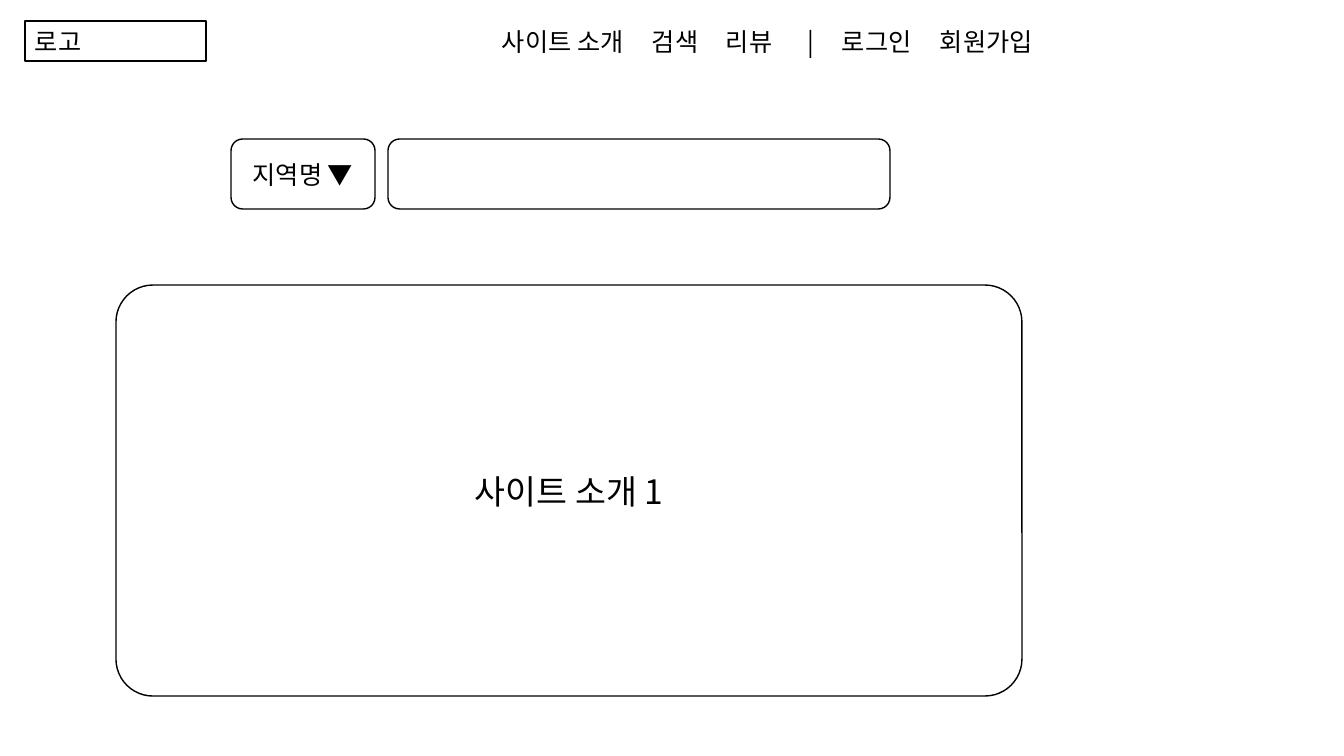
from lxml.etree import SubElement
from pptx import Presentation
from pptx.dml.color import RGBColor
from pptx.enum.shapes import MSO_SHAPE as SHAPE
from pptx.enum.text import MSO_ANCHOR as ANCHOR, MSO_AUTO_SIZE as AUTO, PP_ALIGN as ALIGN
from pptx.oxml.ns import qn
from pptx.util import Emu, Pt

BLACK = RGBColor(0, 0, 0)
WHITE = RGBColor(255, 255, 255)
FONT = "Noto Sans CJK KR"
PX = 914400 / 100.8

SLIDE = (1344, 756)
LOGO = (25, 21, 181, 40)
NAV = (492, 21, 618, 40)
NAV_ITEMS = ["사이트 소개", "검색", "리뷰", "|", "로그인", "회원가입"]
NAV_TABS = [150, 224, 306, 340, 438]
SEARCH = (388, 139, 502, 70)
REGION = (231, 139, 144, 70)
PANEL = (116, 285, 906, 411)
INTRO = (260, 466, 618, 50)


def px(n):
    return Emu(round(n * PX))


def add_box(shapes, kind, box, outlined=True):
    sp = shapes.add_shape(kind, *map(px, box))
    sp.shadow.inherit = False
    sp.fill.solid()
    sp.fill.fore_color.rgb = WHITE
    if outlined:
        sp.line.color.rgb = BLACK
        sp.line.width = Pt(1)
    else:
        sp.line.fill.background()
    return sp


def add_text(sp, text, size=18, align=ALIGN.LEFT, anchor=ANCHOR.TOP, grow=True, tabs=()):
    tf = sp.text_frame
    tf.word_wrap = True
    tf.vertical_anchor = anchor
    tf.auto_size = AUTO.SHAPE_TO_FIT_TEXT if grow else AUTO.NONE
    p = tf.paragraphs[0]
    p.text = text
    p.alignment = align
    if tabs:
        tab_list = SubElement(p._p.get_or_add_pPr(), qn("a:tabLst"))
        for tab in tabs:
            SubElement(tab_list, qn("a:tab"), pos=str(px(tab)), algn="l")
    for r in p.runs:
        r.font.size = Pt(size)
        r.font.name = FONT
        r.font.color.rgb = BLACK
        SubElement(r.font._element, qn("a:ea"), typeface=FONT)


prs = Presentation()
prs.slide_width, prs.slide_height = map(px, SLIDE)
slide = prs.slides.add_slide(prs.slide_layouts[6])

add_text(add_box(slide.shapes, SHAPE.RECTANGLE, LOGO), "로고")
nav = add_box(slide.shapes, SHAPE.RECTANGLE, NAV, outlined=False)
add_text(nav, "\t".join(NAV_ITEMS), tabs=NAV_TABS)

search_bar = slide.shapes.add_group_shape().shapes
add_box(search_bar, SHAPE.FLOWCHART_ALTERNATE_PROCESS, SEARCH)
region = add_box(search_bar, SHAPE.FLOWCHART_ALTERNATE_PROCESS, REGION)
add_text(region, "지역명 ▼", align=ALIGN.CENTER, anchor=ANCHOR.MIDDLE, grow=False)

intro_card = slide.shapes.add_group_shape().shapes
panel = add_box(intro_card, SHAPE.ROUNDED_RECTANGLE, PANEL)
panel.adjustments[0] = 0.09
intro = add_box(intro_card, SHAPE.RECTANGLE, INTRO, outlined=False)
add_text(intro, "사이트 소개 1", size=24, align=ALIGN.CENTER)

prs.save("out.pptx")
